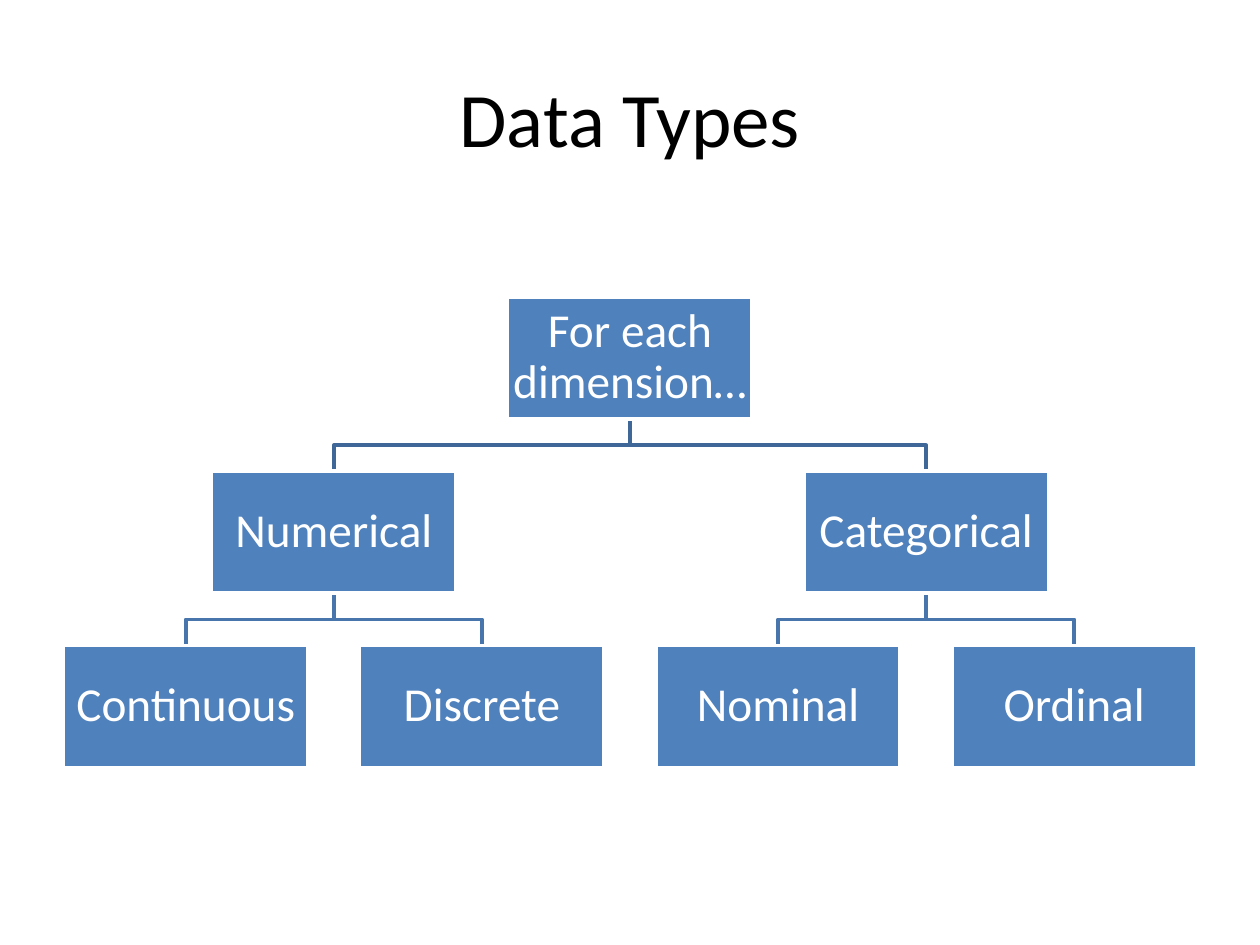
from dataclasses import dataclass, field

from pptx import Presentation
from pptx.dml.color import RGBColor
from pptx.enum.shapes import MSO_SHAPE as Preset
from pptx.enum.text import MSO_ANCHOR as Anchor, PP_ALIGN as Align
from pptx.util import Cm, Pt

BLACK = RGBColor(0x00, 0x00, 0x00)
WHITE = RGBColor(0xFF, 0xFF, 0xFF)
BLUE = RGBColor(0x4F, 0x81, 0xBD)
UPPER_LINK = RGBColor(0x3F, 0x67, 0x97)
LOWER_LINK = RGBColor(0x48, 0x75, 0xAC)

FONT = "Calibri"
CENTRE = 12.7
TOP = 5.99
WIDTH, HEIGHT = 4.93, 2.46
COLUMN_STEP, LEVEL_STEP = 5.97, 3.51


@dataclass(frozen=True)
class Node:
    """A box of the tree, placed in columns from the slide's centre line."""
    label: str
    column: float
    level: int
    children: list["Node"] = field(default_factory=list)

    @property
    def x(self) -> float:
        return CENTRE + self.column * COLUMN_STEP

    @property
    def y(self) -> float:
        return TOP + self.level * LEVEL_STEP


TREE = Node("For each dimension…", 0, 0, [
    Node("Numerical", -1, 1, [
        Node("Continuous", -1.5, 2),
        Node("Discrete", -0.5, 2),
    ]),
    Node("Categorical", 1, 1, [
        Node("Nominal", 0.5, 2),
        Node("Ordinal", 1.5, 2),
    ]),
])


def write(box, text: str, *, size: float, color: RGBColor,
          inset: float, spacing: float = 1.0) -> None:
    """Put centred text into a box."""
    frame = box.text_frame
    frame.word_wrap = True
    frame.vertical_anchor = Anchor.MIDDLE
    frame.margin_left = frame.margin_right = Cm(inset)
    frame.margin_top = frame.margin_bottom = Cm(inset)
    para = frame.paragraphs[0]
    para.alignment = Align.CENTER
    para.line_spacing = spacing
    span = para.add_run()
    span.text = text
    span.font.name = FONT
    span.font.size = Pt(size)
    span.font.color.rgb = color


def draw_link(page, parent: Node, child: Node) -> None:
    """Draw the elbow line from a parent down to its child."""
    start = parent.y + HEIGHT
    middle = (start + child.y) / 2
    corners = [(parent.x, middle), (child.x, middle), (child.x, child.y)]
    builder = page.shapes.build_freeform(Cm(parent.x), Cm(start))
    builder.add_line_segments([(Cm(x), Cm(y)) for x, y in corners], close=False)
    link = builder.convert_to_shape()
    link.shadow.inherit = False
    link.fill.background()
    link.line.color.rgb = LOWER_LINK if parent.level else UPPER_LINK
    link.line.width = Pt(2)


def draw_links(page, node: Node) -> None:
    """Draw all links below a node."""
    for child in node.children:
        draw_links(page, child)
        draw_link(page, node, child)


def draw_boxes(page, node: Node) -> None:
    """Draw a node's box and those of its descendants."""
    box = page.shapes.add_shape(Preset.RECTANGLE, Cm(node.x - WIDTH / 2),
                                Cm(node.y), Cm(WIDTH), Cm(HEIGHT))
    box.shadow.inherit = False
    box.fill.solid()
    box.fill.fore_color.rgb = BLUE
    box.line.color.rgb = WHITE
    box.line.width = Pt(2)
    write(box, node.label, size=27, color=WHITE, inset=0.05, spacing=0.9)
    for child in node.children:
        draw_boxes(page, child)


def main() -> None:
    """Build the slide and save it."""
    deck = Presentation()
    deck.slide_width, deck.slide_height = Cm(25.4), Cm(19.05)
    page = deck.slides.add_slide(deck.slide_layouts[6])
    title = page.shapes.add_textbox(Cm(1.27), Cm(0.76), Cm(22.86), Cm(3.18))
    write(title, "Data Types", size=44, color=BLACK, inset=0.13)
    draw_links(page, TREE)
    draw_boxes(page, TREE)
    deck.save("out.pptx")


if __name__ == "__main__":
    main()
